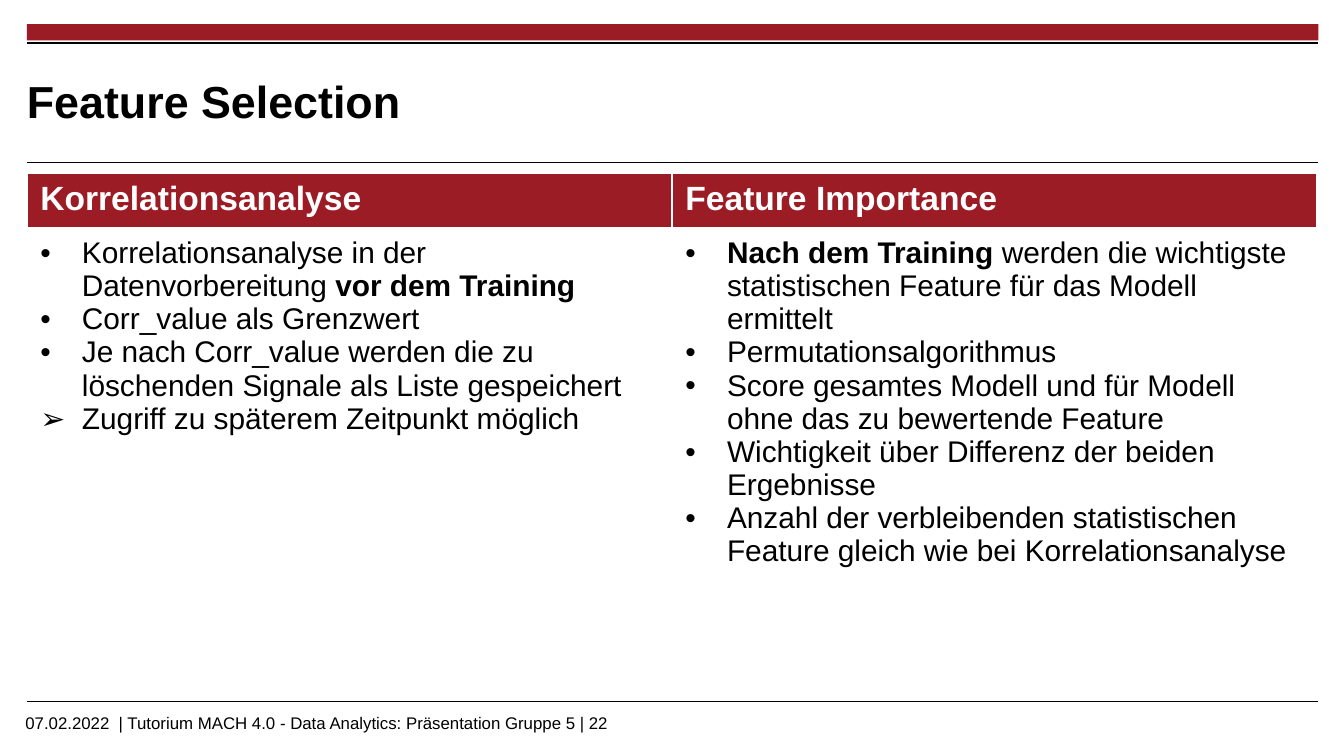
from dataclasses import dataclass

from lxml.etree import SubElement
from pptx import Presentation
from pptx.dml.color import RGBColor
from pptx.enum.shapes import MSO_CONNECTOR, MSO_SHAPE
from pptx.enum.text import MSO_ANCHOR, PP_ALIGN
from pptx.oxml import parse_xml
from pptx.oxml.ns import nsdecls, qn
from pptx.util import Inches, Pt


@dataclass(frozen=True)
class Theme:
    font: str = "Arial"
    red: RGBColor = RGBColor(0x9C, 0x1C, 0x26)
    black: RGBColor = RGBColor(0, 0, 0)
    white: RGBColor = RGBColor(255, 255, 255)
    title: int = 24
    heading: int = 18
    body: int = 16
    footer: int = 9


@dataclass(frozen=True)
class Rule:
    y: float
    weight: float


@dataclass(frozen=True)
class Item:
    runs: tuple[tuple[str, bool], ...]  # text, bold
    bullet: str = "•"


@dataclass(frozen=True)
class Column:
    heading: str
    items: tuple[Item, ...]


THEME = Theme()
SLIDE_WIDTH = 10
SLIDE_HEIGHT = SLIDE_WIDTH * 9 / 16
LEFT, WIDTH = 0.2, 9.61
COL_WIDTH = 4.8
ROW_HEIGHTS = (0.42, 3.46)
INDENT = 0.31
RULES = (Rule(0.32, 1.2), Rule(1.21, 0.6), Rule(5.22, 0.6))
FOOTER = "07.02.2022  | Tutorium MACH 4.0 - Data Analytics: Präsentation Gruppe 5 | 22"


def plain(text: str, bullet: str = "•") -> Item:
    return Item(((text, False),), bullet)


COLUMNS = (
    Column("Korrelationsanalyse", (
        Item((("Korrelationsanalyse in der Datenvorbereitung ", False),
              ("vor dem Training", True))),
        plain("Corr_value als Grenzwert"),
        plain("Je nach Corr_value werden die zu löschenden Signale als Liste gespeichert"),
        plain("Zugriff zu späterem Zeitpunkt möglich", "➢"),
    )),
    Column("Feature Importance", (
        Item((("Nach dem Training", True),
              (" werden die wichtigste statistischen Feature für das Modell ermittelt", False))),
        plain("Permutationsalgorithmus"),
        plain("Score gesamtes Modell und für Modell ohne das zu bewertende Feature"),
        plain("Wichtigkeit über Differenz der beiden Ergebnisse"),
        plain("Anzahl der verbleibenden statistischen Feature gleich wie bei Korrelationsanalyse"),
    )),
)


def set_font(p, size: int, color: RGBColor, bold: bool = False) -> None:
    p.font.name = THEME.font
    p.font.size = Pt(size)
    p.font.bold = bold
    p.font.color.rgb = color


def set_bullet(p, char: str) -> None:
    pPr = p._p.get_or_add_pPr()
    pPr.set("marL", str(Inches(INDENT)))
    pPr.set("indent", str(-Inches(INDENT)))
    pPr.insert(0, parse_xml(f'<a:buFont {nsdecls("a")} typeface="{THEME.font}"/>'))
    pPr.insert(1, parse_xml(f'<a:buChar {nsdecls("a")} char="{char}"/>'))


def format_cell(cell, color: RGBColor, bottom: float = 1) -> None:
    """Fill a cell and give it white borders, 1 pt except at the bottom."""
    cell.fill.solid()
    cell.fill.fore_color.rgb = color
    tcPr = cell._tc.get_or_add_tcPr()
    for i, (side, weight) in enumerate(zip("LRTB", (1, 1, 1, bottom))):
        tcPr.insert(i, parse_xml(
            f'<a:ln{side} {nsdecls("a")} w="{Pt(weight)}"><a:solidFill>'
            f'<a:srgbClr val="{THEME.white}"/></a:solidFill></a:ln{side}>'))


def add_rule(s, rule: Rule) -> None:
    line = s.shapes.add_connector(MSO_CONNECTOR.STRAIGHT, Inches(LEFT), Inches(rule.y),
                                  Inches(LEFT + WIDTH), Inches(rule.y))
    line.line.color.rgb = THEME.black
    line.line.width = Pt(rule.weight)
    SubElement(line._element.spPr, qn("a:effectLst"))


def add_column(table, index: int, column: Column) -> None:
    table.columns[index].width = Inches(COL_WIDTH)
    head, body = table.cell(0, index), table.cell(1, index)
    format_cell(head, THEME.red, bottom=3)
    format_cell(body, THEME.white)
    head.text = column.heading
    set_font(head.text_frame.paragraphs[0], THEME.heading, THEME.white, bold=True)
    tf = body.text_frame
    for i, item in enumerate(column.items):
        p = tf.add_paragraph() if i else tf.paragraphs[0]
        set_font(p, THEME.body, THEME.black)
        set_bullet(p, item.bullet)
        for text, bold in item.runs:
            r = p.add_run()
            r.text = text
            if bold:
                r.font.bold = True


def main() -> None:
    prs = Presentation()
    prs.slide_width, prs.slide_height = Inches(SLIDE_WIDTH), Inches(SLIDE_HEIGHT)
    s = prs.slides.add_slide(prs.slide_layouts[5])

    # Red band and horizontal rules
    band = s.shapes.add_shape(MSO_SHAPE.RECTANGLE, Inches(LEFT), Inches(0.18),
                              Inches(WIDTH), Inches(0.12))
    band.shadow.inherit = False
    band.fill.solid()
    band.fill.fore_color.rgb = THEME.red
    band.line.fill.background()
    for rule in RULES:
        add_rule(s, rule)

    # Title
    title = s.shapes.title
    title.left, title.top = Inches(LEFT), Inches(0.4)
    title.width, title.height = Inches(7.46), Inches(0.69)
    tf = title.text_frame
    tf.margin_left = tf.margin_top = tf.margin_right = tf.margin_bottom = 0
    tf.vertical_anchor = MSO_ANCHOR.MIDDLE
    tf.text = "Feature Selection"
    p = tf.paragraphs[0]
    p.alignment = PP_ALIGN.LEFT
    set_font(p, THEME.title, THEME.black, bold=True)

    # Comparison table
    table = s.shapes.add_table(len(ROW_HEIGHTS), len(COLUMNS), Inches(LEFT), Inches(1.29),
                               Inches(COL_WIDTH * len(COLUMNS)),
                               Inches(sum(ROW_HEIGHTS))).table
    for row, height in zip(table.rows, ROW_HEIGHTS):
        row.height = Inches(height)
    for i, column in enumerate(COLUMNS):
        add_column(table, i, column)

    # Footer
    footer = s.shapes.add_textbox(Inches(0.09), Inches(5.25), Inches(7.95), Inches(0.19))
    tf = footer.text_frame
    tf.word_wrap = True
    tf.text = FOOTER
    set_font(tf.paragraphs[0], THEME.footer, THEME.black)

    prs.save("out.pptx")


if __name__ == "__main__":
    main()
